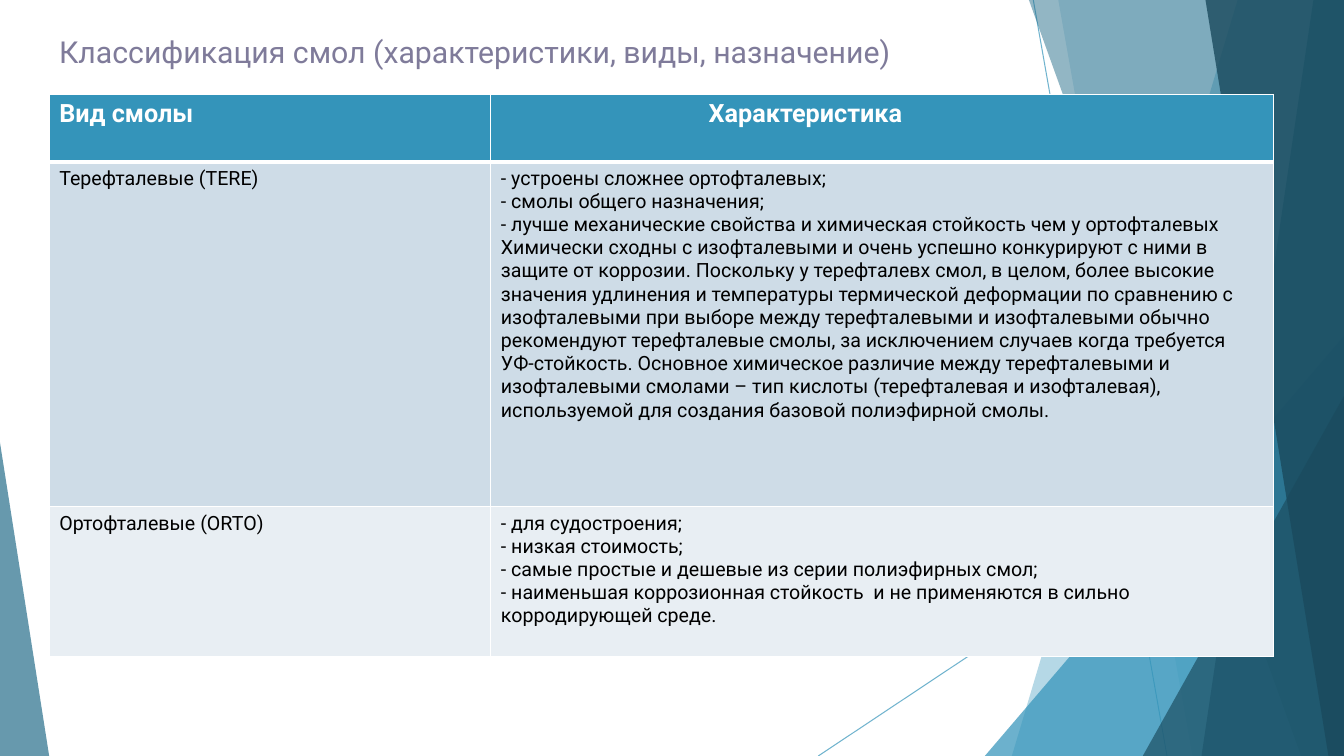
import pptx
import pptx.util
import pptx.dml.color
import pptx.enum.shapes
import pptx.enum.text
import pptx.oxml
import pptx.oxml.ns
import lxml.etree

Cm = pptx.util.Cm
Pt = pptx.util.Pt
RGBColor = pptx.dml.color.RGBColor
qn = pptx.oxml.ns.qn

BLUE = RGBColor(0x34, 0x94, 0xBA)
DEEP_BLUE = RGBColor(0x27, 0x6F, 0x8B)
NAVY = RGBColor(0x1A, 0x4A, 0x5D)
TITLE_GREY = RGBColor(0x7F, 0x7B, 0x9A)
BAND_DARK = RGBColor(0xCE, 0xDC, 0xE7)
BAND_LIGHT = RGBColor(0xE8, 0xEE, 0xF3)
WHITE = RGBColor(0xFF, 0xFF, 0xFF)
BLACK = RGBColor(0, 0, 0)

FONT = "Roboto"
WIDTH, HEIGHT = 33.87, 19.05
LEFT = 1.24

HEADER = [["Вид смолы"], ["Характеристика"]]
TERE = [
    ["Терефталевые (TERE)"],
    [
        "- устроены сложнее ортофталевых;",
        "- смолы общего назначения;",
        "- лучше механические свойства и химическая стойкость чем у ортофталевых",
        "Химически сходны с изофталевыми и очень успешно конкурируют с ними в "
        "защите от коррозии. Поскольку у терефталевх смол, в целом, более высокие "
        "значения удлинения и температуры термической деформации по сравнению с "
        "изофталевыми при выборе между терефталевыми и изофталевыми обычно "
        "рекомендуют терефталевые смолы, за исключением случаев когда требуется "
        "УФ-стойкость. Основное химическое различие между терефталевыми и "
        "изофталевыми смолами – тип кислоты (терефталевая и изофталевая), "
        "используемой для создания базовой полиэфирной смолы.",
    ],
]
ORTO = [
    ["Ортофталевые (ORTO)"],
    [
        "- для судостроения;",
        "- низкая стоимость;",
        "- самые простые и дешевые из серии полиэфирных смол;",
        "- наименьшая коррозионная стойкость  и не применяются в сильно "
        "корродирующей среде.",
    ],
]


def set_opacity(shape, percent):
    for color in shape._element.spPr.iter(qn("a:srgbClr")):
        alpha = lxml.etree.SubElement(color, qn("a:alpha"))
        alpha.set("val", str(percent * 1000))


def paint(shape, color, opacity):
    shape.shadow.inherit = False
    shape.fill.solid()
    shape.fill.fore_color.rgb = color
    shape.line.fill.background()
    set_opacity(shape, opacity)


def add_ray(page, start, end):
    ray = page.shapes.add_connector(
        pptx.enum.shapes.MSO_CONNECTOR.STRAIGHT, *map(Cm, start + end))
    ray.line.color.rgb = BLUE
    ray.line.width = Pt(0.75)
    set_opacity(ray, 70)
    lxml.etree.SubElement(ray._element.spPr, qn("a:effectLst"))


def add_side_panel(page, top_x, bottom_x, color, opacity):
    """Panel from a slanted left edge to the right edge of the page."""
    builder = page.shapes.build_freeform(Cm(top_x), 0)
    corners = [(WIDTH, 0), (WIDTH, HEIGHT), (bottom_x, HEIGHT)]
    builder.add_line_segments([(Cm(x), Cm(y)) for x, y in corners])
    paint(builder.convert_to_shape(), color, opacity)


def add_corner(page, left, top, width, apex, color, opacity):
    """Triangle standing on the bottom edge of the page."""
    corner = page.shapes.add_shape(
        pptx.enum.shapes.MSO_SHAPE.ISOSCELES_TRIANGLE,
        Cm(left), Cm(top), Cm(width), Cm(HEIGHT - top))
    corner.adjustments[0] = apex
    paint(corner, color, opacity)


def add_span(para, text, size, color, bold=False):
    span = para.add_run()
    span.text = text
    span.font.name = FONT
    span.font.size = Pt(size)
    span.font.bold = bold
    span.font.color.rgb = color


def add_title(page, text):
    box = page.shapes.add_textbox(Cm(LEFT), Cm(0.72), Cm(30.86), Cm(0.66))
    box.text_frame.word_wrap = True
    box.text_frame.vertical_anchor = pptx.enum.text.MSO_ANCHOR.TOP
    add_span(box.text_frame.paragraphs[0], text, 21.6, TITLE_GREY)


def set_borders(cell, top, bottom):
    properties = cell._tc.get_or_add_tcPr()
    for side, width in (("L", 1), ("R", 1), ("T", top), ("B", bottom)):
        border = lxml.etree.SubElement(properties, qn(f"a:ln{side}"))
        border.set("w", str(Pt(width)))
        fill = lxml.etree.SubElement(border, qn("a:solidFill"))
        lxml.etree.SubElement(fill, qn("a:srgbClr")).set("val", str(WHITE))


def fill_cell(cell, lines, fill, borders, size, color, bold):
    set_borders(cell, *borders)
    cell.fill.solid()
    cell.fill.fore_color.rgb = fill
    for number, line in enumerate(lines):
        frame = cell.text_frame
        para = frame.add_paragraph() if number else frame.paragraphs[0]
        add_span(para, line, size, color, bold)


def add_resin_table(page):
    rows = [  # content, height, fill, top and bottom border, size, colour, bold
        (HEADER, 1.7, BLUE, (1, 3), 18, WHITE, True),
        (TERE, 8.69, BAND_DARK, (3, 1), 14, BLACK, False),
        (ORTO, 3.78, BAND_LIGHT, (1, 1), 14, BLACK, False),
    ]
    widths = [11.13, 19.73]
    table = page.shapes.add_table(
        len(rows), len(widths), Cm(LEFT), Cm(2.38), Cm(sum(widths)),
        Cm(sum(row[1] for row in rows))).table
    table.horz_banding = False
    for column, width in zip(table.columns, widths):
        column.width = Cm(width)
    for row, (content, height, *style) in zip(table.rows, rows):
        row.height = Cm(height)
        for cell, lines in zip(row.cells, content):
            fill_cell(cell, lines, *style)
    table.cell(0, 1).margin_left = Cm(5.49)


def main():
    deck = pptx.Presentation()
    deck.slide_width, deck.slide_height = Cm(WIDTH), Cm(HEIGHT)
    page = deck.slides.add_slide(deck.slide_layouts[6])

    # Background facets
    add_ray(page, (26.04, 0), (29.41, HEIGHT))
    add_ray(page, (WIDTH, 10.24), (20.62, HEIGHT))
    add_side_panel(page, 31.19, 25.5, BLUE, 36)
    add_side_panel(page, 26.67, 30.05, BLUE, 20)
    add_corner(page, 24.82, 8.46, 9.05, 1, BLUE, 72)
    add_side_panel(page, 25.93, 32.79, DEEP_BLUE, 50)
    add_side_panel(page, 33.1, 30.28, DEEP_BLUE, 70)
    add_side_panel(page, 30.38, 33.48, NAVY, 80)
    add_corner(page, 28.8, 9.98, 5.07, 1, NAVY, 66)
    add_corner(page, 0, 11.15, LEFT, 0, DEEP_BLUE, 70)

    # Content
    add_title(page, "Классификация смол (характеристики, виды, назначение)")
    add_resin_table(page)

    deck.save("out.pptx")


if __name__ == "__main__":
    main()
